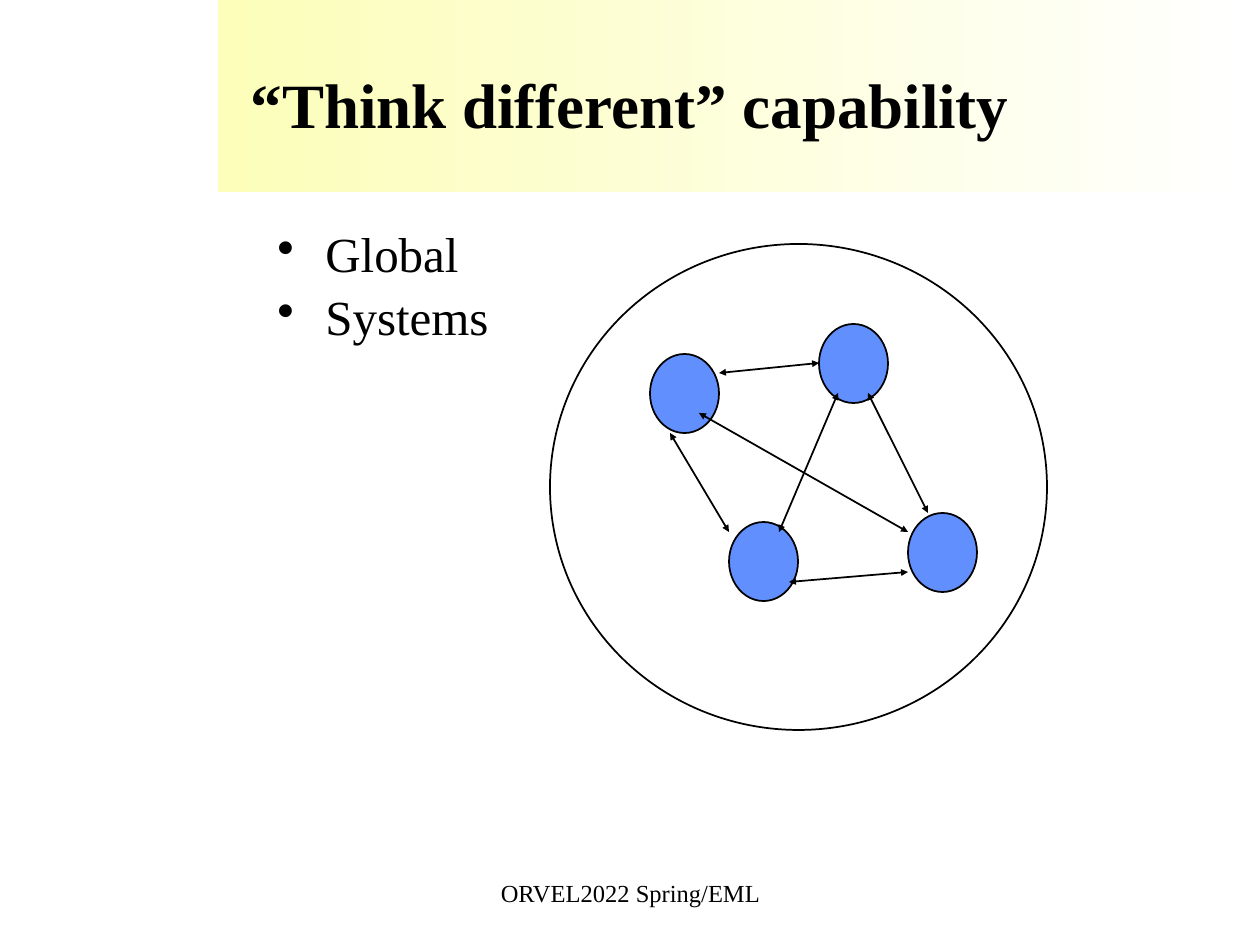
"""Build the slide on the capability to think differently: two bullets and a network of linked nodes."""
from lxml import etree
from pptx import Presentation
from pptx.dml.color import RGBColor
from pptx.enum.shapes import MSO_CONNECTOR, MSO_SHAPE
from pptx.enum.text import MSO_ANCHOR, MSO_AUTO_SIZE, PP_ALIGN
from pptx.oxml.ns import qn
from pptx.util import Pt

OVAL, RECT = MSO_SHAPE.OVAL, MSO_SHAPE.RECTANGLE
STRAIGHT = MSO_CONNECTOR.STRAIGHT
TOP, MIDDLE = MSO_ANCHOR.TOP, MSO_ANCHOR.MIDDLE
LEFT, CENTER = PP_ALIGN.LEFT, PP_ALIGN.CENTER
NO_FIT = MSO_AUTO_SIZE.NONE

BLACK = RGBColor(0x00, 0x00, 0x00)
WHITE = RGBColor(0xFF, 0xFF, 0xFF)
YELLOW = RGBColor(0xFC, 0xFE, 0xB9)
BLUE = RGBColor(0x61, 0x8F, 0xFD)
FONT = "Times New Roman"

TITLE = "“Think different” capability"
BULLETS = ["Global", "Systems"]
FOOTER = "ORVEL2022 Spring/EML"

SLIDE_SIZE = (1260, 945)
BAND_BOX = (218, 0, 1041, 192)
TITLE_BOX = (238, 39, 998, 146)
BODY_BOX = (265, 224, 995, 680)
FOOTER_BOX = (431, 861, 399, 63)
WORLD_BOX = (550, 244, 497, 486)
NODE_SIZE = (69, 79)
NODES = [(650, 354), (908, 513), (729, 522), (819, 324)]
LINKS = [
    ((719, 373), (819, 363)),
    ((838, 393), (779, 532)),
    ((699, 413), (908, 532)),
    ((928, 513), (868, 393)),
    ((670, 433), (729, 532)),
    ((789, 582), (908, 572)),
]

TITLE_STYLE = {"size": Pt(36), "bold": True}
BODY_STYLE = {"size": Pt(28), "bold": False}
FOOTER_STYLE = {"size": Pt(14), "bold": False}
BODY_SPACING = {"line_spacing": 0.9, "space_before": Pt(5.6)}
BULLET_INDENT = 48


def px(*values):
    return [round(v * 914400 / 126) for v in values]


def write(shape, lines, style, anchor, align=LEFT, wrap=True, spacing=None):
    tf = shape.text_frame
    tf.word_wrap, tf.auto_size, tf.vertical_anchor = wrap, NO_FIT, anchor
    tf.text = "\n".join(lines)
    for p in tf.paragraphs:
        p.alignment = align
        for name, value in (spacing or {}).items():
            setattr(p, name, value)
        font = p.runs[0].font
        for name, value in {"name": FONT, **style}.items():
            setattr(font, name, value)
        font.color.rgb = BLACK
    return tf


def add_bullet(p):
    indent = px(BULLET_INDENT)[0]
    pPr = p._p.get_or_add_pPr()
    pPr.set("marL", str(indent))
    pPr.set("indent", str(-indent))
    etree.SubElement(pPr, qn("a:buChar")).set("char", "•")


def add_oval(s, box, color=None):
    sp = s.shapes.add_shape(OVAL, *px(*box))
    sp.shadow.inherit = False
    if color is None:
        sp.fill.background()
    else:
        sp.fill.solid()
        sp.fill.fore_color.rgb = color
    sp.line.color.rgb = BLACK
    sp.line.width = Pt(1)


def add_link(s, start, end):
    link = s.shapes.add_connector(STRAIGHT, *px(*start, *end))
    link.line.color.rgb = BLACK
    link.line.width = Pt(1)
    ln = link.line._get_or_add_ln()
    for tag in ("a:headEnd", "a:tailEnd"):
        arrow = etree.SubElement(ln, qn(tag))
        for name, value in {"type": "triangle", "w": "sm", "len": "sm"}.items():
            arrow.set(name, value)
    etree.SubElement(link.element.spPr, qn("a:effectLst"))


def add_band(s):
    band = s.shapes.add_shape(RECT, *px(*BAND_BOX))
    band.shadow.inherit = False
    band.line.fill.background()
    band.fill.gradient()
    band.fill.gradient_angle = 0
    for stop, color in zip(band.fill.gradient_stops, (YELLOW, WHITE)):
        stop.color.rgb = color
    band.element.getparent().insert(2, band.element)


def main():
    prs = Presentation()
    prs.slide_width, prs.slide_height = px(*SLIDE_SIZE)
    s = prs.slides.add_slide(prs.slide_layouts[5])
    add_band(s)

    title = s.shapes.title
    title.left, title.top, title.width, title.height = px(*TITLE_BOX)
    write(title, [TITLE], TITLE_STYLE, MIDDLE, spacing={"line_spacing": 0.75})

    footer = s.shapes.add_textbox(*px(*FOOTER_BOX))
    write(footer, [FOOTER], FOOTER_STYLE, MIDDLE, CENTER, wrap=False)

    body = s.shapes.add_textbox(*px(*BODY_BOX))
    for p in write(body, BULLETS, BODY_STYLE, TOP, spacing=BODY_SPACING).paragraphs:
        add_bullet(p)

    for node in NODES:
        add_oval(s, node + NODE_SIZE, BLUE)
    add_oval(s, WORLD_BOX)
    for start, end in LINKS:
        add_link(s, start, end)

    prs.save("out.pptx")


if __name__ == "__main__":
    main()
